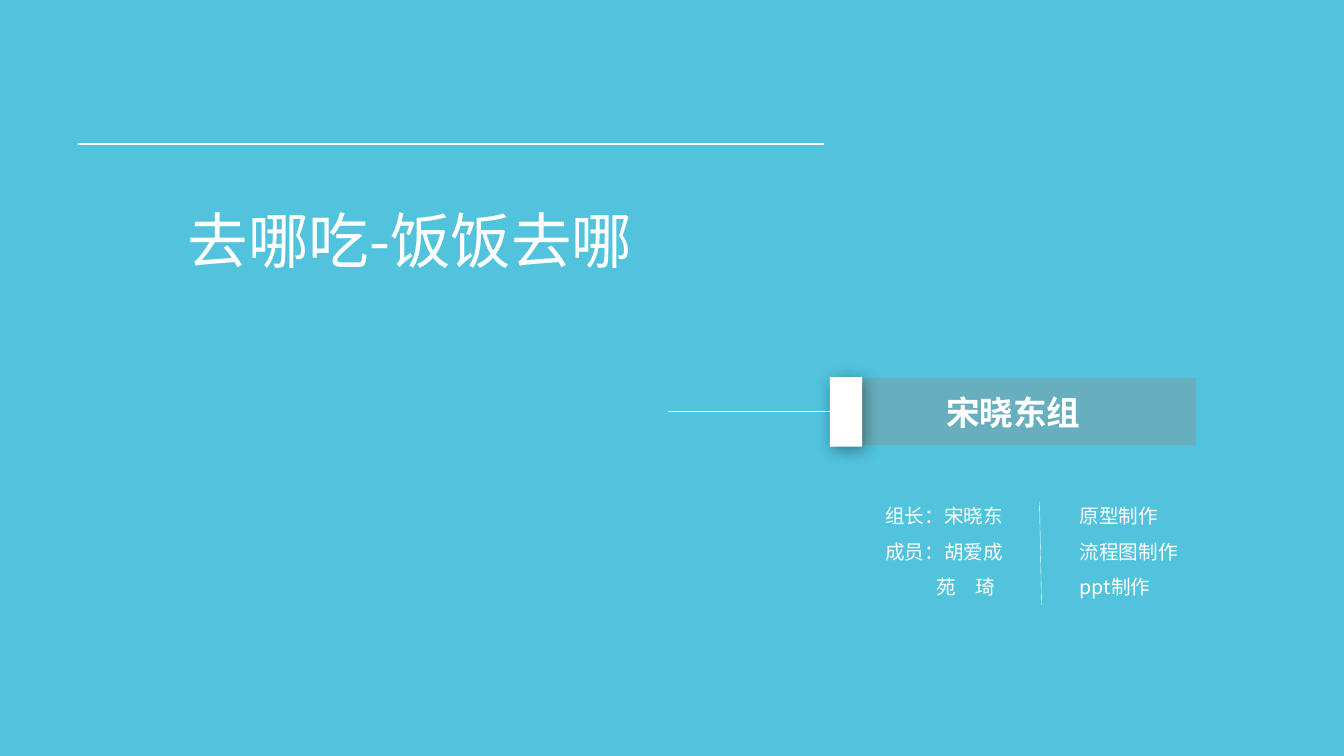
import pptx
import pptx.dml.color
import pptx.enum.shapes
import pptx.enum.text
import pptx.oxml
import pptx.oxml.ns
import pptx.util
import lxml.etree

Inches = pptx.util.Inches
Pt = pptx.util.Pt
ALIGN = pptx.enum.text.PP_ALIGN
ANCHOR = pptx.enum.text.MSO_ANCHOR
RECTANGLE = pptx.enum.shapes.MSO_SHAPE.RECTANGLE

SKY = pptx.dml.color.RGBColor(0x52, 0xC3, 0xDD)
WHITE = pptx.dml.color.RGBColor(0xFF, 0xFF, 0xFF)
GREY = pptx.dml.color.RGBColor(0x8B, 0x8B, 0x8B)
FONT = "Noto Sans CJK SC"


def add_child(parent, tag, **attributes):
    return lxml.etree.SubElement(parent, pptx.oxml.ns.qn(tag), attributes)


def place(part, left, top, width, height):
    part.left, part.top = Inches(left), Inches(top)
    part.width, part.height = Inches(width), Inches(height)


def write(part, lines, size, align, anchor=ANCHOR.TOP, bold=False, spacing=0.9, before=0):
    frame = part.text_frame
    frame.text = "\n".join(lines)
    frame.word_wrap = True
    frame.auto_size = pptx.enum.text.MSO_AUTO_SIZE.NONE
    frame.vertical_anchor = anchor
    for paragraph in frame.paragraphs:
        paragraph.alignment = align
        paragraph.line_spacing = spacing
        paragraph.space_before = Pt(before)
        for run in paragraph.runs:
            run.font.size = Pt(size)
            run.font.bold = bold
            run.font.color.rgb = WHITE
            run.font.name = FONT
            add_child(run.font._element, "a:ea", typeface=FONT)


def add_rule(slide, start, end, weight):
    rule = slide.shapes.add_connector(
        pptx.enum.shapes.MSO_CONNECTOR.STRAIGHT,
        *(Inches(value) for value in (*start, *end)))
    rule.line.color.rgb = WHITE
    rule.line.width = Pt(weight)
    add_child(rule._element.spPr, "a:effectLst")
    return rule


def add_block(slide, left, top, width, height, color):
    block = slide.shapes.add_shape(RECTANGLE, 0, 0, 0, 0)
    place(block, left, top, width, height)
    block.fill.solid()
    block.fill.fore_color.rgb = color
    block.line.fill.background()
    block.shadow.inherit = False
    return block


def build_heading(slide, left, top, width):
    add_rule(slide, (left, top), (left + width, top), 1)
    title = slide.shapes.title
    place(title, left + 0.74, top + 0.35, 5.11, 1.01)
    write(title, ["去哪吃-饭饭去哪"], 43.2, ALIGN.CENTER, ANCHOR.BOTTOM)


def build_team_banner(slide, left, top, width, height):
    # Translucent bar with the team name
    bar = add_block(slide, left, top, width, height, GREY)
    color = bar.fill._xPr.find(pptx.oxml.ns.qn("a:solidFill"))[0]
    add_child(color, "a:alpha", val="37000")
    write(bar, ["宋晓东组"], 24, ALIGN.CENTER, ANCHOR.MIDDLE, bold=True, spacing=1)

    # White tab with a soft shadow
    tab = add_block(slide, left - 0.01, top - 0.01, 0.32, height + 0.02, WHITE)
    effects = tab._element.spPr.find(pptx.oxml.ns.qn("a:effectLst"))
    shadow = add_child(effects, "a:outerShdw", blurRad=str(Pt(12)), dist=str(Pt(3)),
                       dir="2700000", algn="tl", rotWithShape="0")
    add_child(add_child(shadow, "a:srgbClr", val="000000"), "a:alpha", val="40000")

    # Rule leading to the tab
    middle = top + height / 2
    leader = add_rule(slide, (left - 1.61, middle), (left - 0.01, middle), 1)
    leader.end_connect(tab, 1)


def build_roles(slide, left, top, width, height):
    # Members
    members = slide.placeholders[1]
    place(members, left, top, width, height)
    write(members, ["组长：宋晓东", "成员：胡爱成", "苑　琦"], 14, ALIGN.CENTER, before=10)
    last_member = members.text_frame.paragraphs[-1]
    last_member._p.get_or_add_pPr().set("marL", str(Inches(0.43)))

    # Divider
    add_rule(slide, (left + 1.83, top), (left + 1.85, top + 1.02), 0.25)

    # Tasks
    tasks = slide.shapes.add_textbox(0, 0, 0, 0)
    place(tasks, left + 2.13, top, width, height)
    write(tasks, ["原型制作", "流程图制作", "ppt制作"], 14, ALIGN.LEFT, before=10)


def main():
    deck = pptx.Presentation()
    deck.slide_width, deck.slide_height = Inches(13.33), Inches(7.5)
    slide = deck.slides.add_slide(deck.slide_layouts[0])
    slide.background.fill.solid()
    slide.background.fill.fore_color.rgb = SKY
    build_heading(slide, 0.77, 1.43, 7.4)
    build_team_banner(slide, 8.24, 3.75, 3.62, 0.67)
    build_roles(slide, 8.48, 4.98, 1.77, 1.81)
    deck.save("out.pptx")


if __name__ == "__main__":
    main()
